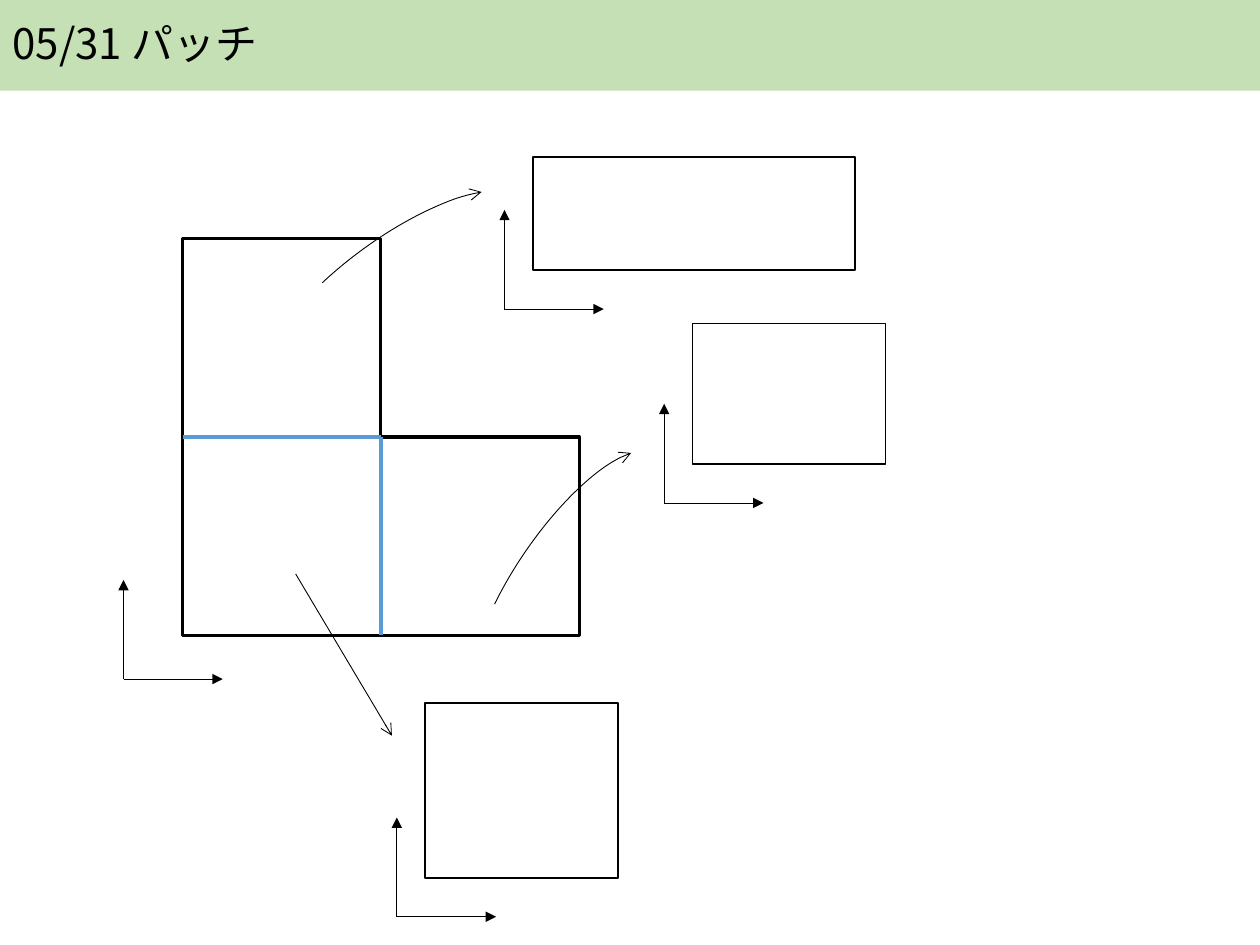
from lxml import etree
from pptx import Presentation
from pptx.dml.color import RGBColor
from pptx.enum import shapes, text
from pptx.oxml.ns import qn
from pptx.util import Cm, Pt

BLACK, BLUE, GREEN = "000000", "5B9BD5", "C5E0B4"
FONT = "Noto Sans CJK JP"
CELL, AXIS = 4, 2  # side of a domain square and length of an axis, in cm


def style_outline(item, colour, width, arrow=None):
    """Set a line's colour and width, drop its shadow, and add an end arrow if named."""
    item.line.color.rgb = RGBColor.from_string(colour)
    item.line.width = Pt(width)
    if arrow:
        etree.SubElement(item.line._get_or_add_ln(), qn("a:tailEnd"), type=arrow)
    properties = item._element.spPr
    if properties.find(qn("a:effectLst")) is None:
        etree.SubElement(properties, qn("a:effectLst"))


def add_line(x1, y1, x2, y2, colour=BLACK, width=0.5, arrow=None):
    line = page.shapes.add_connector(
        shapes.MSO_CONNECTOR.STRAIGHT, Cm(x1), Cm(y1), Cm(x2), Cm(y2))
    style_outline(line, colour, width, arrow)


deck = Presentation()
deck.slide_width, deck.slide_height = Cm(25.4), Cm(19.05)
page = deck.slides.add_slide(deck.slide_layouts[5])

# Title band
title = page.shapes.title
title.left, title.top, title.width, title.height = Cm(0), Cm(0), Cm(25.4), Cm(1.83)
title.fill.solid()
title.fill.fore_color.rgb = RGBColor.from_string(GREEN)
frame = title.text_frame
frame.text = "05/31 パッチ"
frame.auto_size = text.MSO_AUTO_SIZE.NONE
frame.vertical_anchor = text.MSO_ANCHOR.MIDDLE
para = frame.paragraphs[0]
para.alignment = text.PP_ALIGN.LEFT
para.line_spacing = 0.9
span = para.runs[0]
span.font.size = Pt(24)
span.font.name = FONT
span.font.color.rgb = RGBColor.from_string(BLACK)
etree.SubElement(span.font._element, qn("a:ea"), typeface=FONT)

# L-shaped domain of three squares, and the patches it maps to
left, top = 3.68, 4.81
middle_x, middle_y = left + CELL, top + CELL
squares = [(left, top), (left, middle_y), (middle_x, middle_y)]
patches = [(10.74, 3.17, 6.5, 2.28), (13.96, 6.52, 3.89, 2.84), (8.57, 14.17, 3.89, 3.53)]
outlines = [(x, y, CELL, CELL, 1.75) for x, y in squares]
outlines += [(*patch, 1) for patch in patches]
for x, y, width, height, weight in outlines:
    box = page.shapes.add_shape(
        shapes.MSO_SHAPE.RECTANGLE, Cm(x), Cm(y), Cm(width), Cm(height))
    box.fill.background()
    style_outline(box, BLACK, weight)

# Inner edges shared by two squares
add_line(left, middle_y, middle_x, middle_y, BLUE, 1.75)
add_line(middle_x, middle_y, middle_x, middle_y + CELL, BLUE, 1.75)

# Coordinate axes: one pair for the domain, one below and left of each patch
origins = [(2.49, 13.69)]
origins += [(x - 0.57, y + height + 0.78) for x, y, width, height in patches]
for x, y in origins:
    add_line(x, y, x + AXIS, y, arrow="triangle")
    add_line(x, y, x, y - AXIS, arrow="triangle")

# Mapping arrows from squares to patches
for x, y, rotation, start, end in [
    (4.9, 4.78, 324.4, 132.71, 207.89),
    (8.38, 10.64, 124.6, 22.79, 102.7),
]:
    arc = page.shapes.add_shape(shapes.MSO_SHAPE.ARC, Cm(x), Cm(y), Cm(6.2), Cm(2.13))
    arc.rotation = rotation
    arc.adjustments[0], arc.adjustments[1] = start, end
    arc.fill.background()
    style_outline(arc, BLACK, 0.5, "arrow")
add_line(5.96, 11.57, 7.9, 14.83, arrow="arrow")

deck.save("out.pptx")
